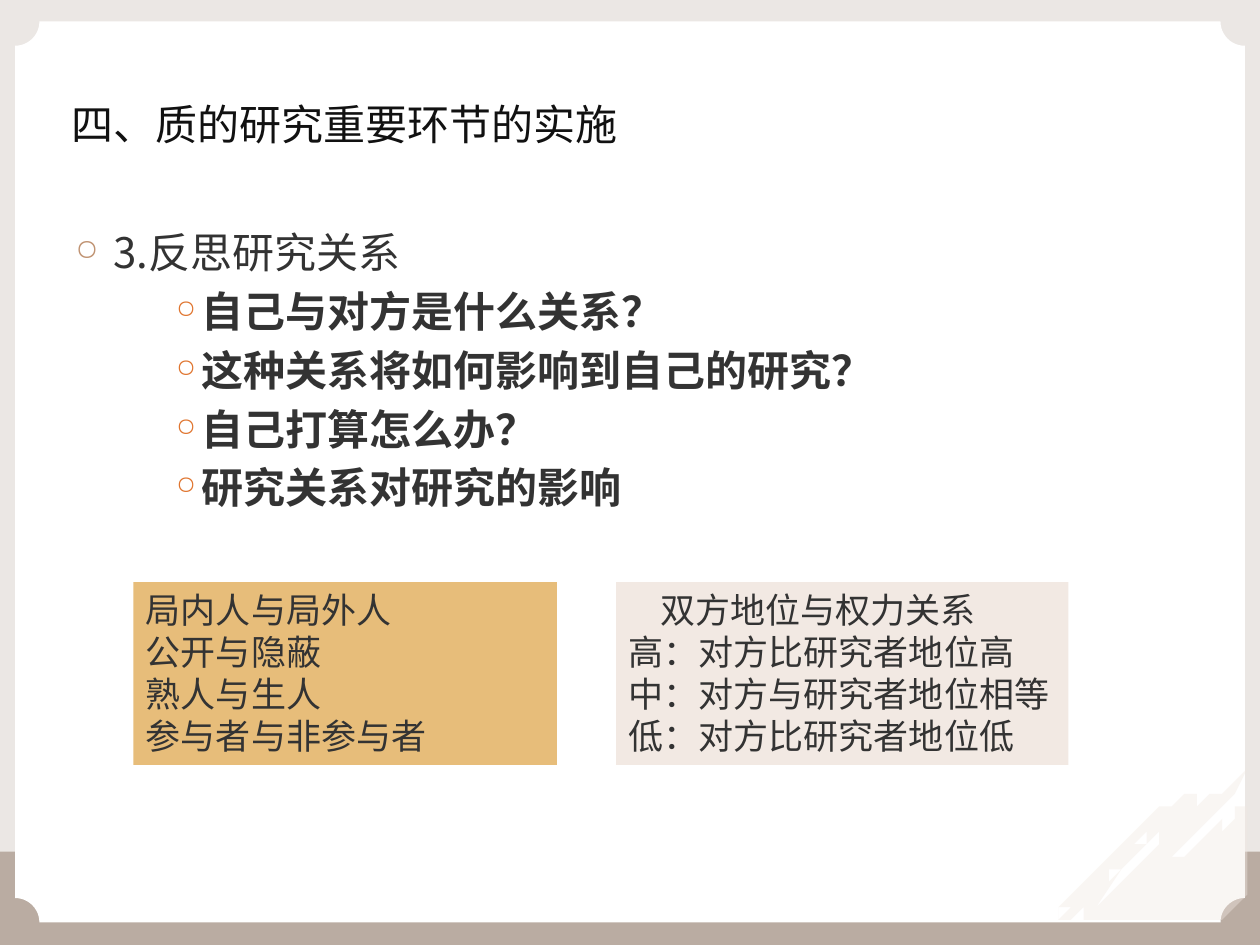
from lxml.etree import SubElement
from pptx import Presentation
from pptx.dml.color import RGBColor
from pptx.enum.shapes import MSO_SHAPE
from pptx.enum.text import MSO_ANCHOR, PP_ALIGN
from pptx.oxml.ns import qn
from pptx.util import Inches, Pt

COLUMNS, ROWS = 100, 75
BULLET = "○"
BOX_TOP, BOX_HEIGHT = 46.2, 14.5

BRUSH_BODY = [
    (98.9, 61.3), (97.8, 62.7), (95.6, 64.8), (92.8, 67.5), (92.7, 67.9),
    (93.4, 67.7), (93.8, 67.7), (94.3, 67.5), (95.8, 66.2), (96.7, 65.3),
    (96.3, 65.5), (96.8, 65.2), (97.2, 65.1), (96.9, 65.5), (97.5, 65.3),
    (98.2, 64.7), (98.3, 64.4), (98.9, 64.2), (98.9, 71.1), (98.0, 71.5),
    (97.5, 72.2), (97.3, 73.3), (86.4, 73.3), (87.2, 72.1), (89.2, 69.8),
    (91.6, 66.8), (91.9, 66.4), (91.3, 66.9), (89.4, 69.2), (87.4, 71.7),
    (86.2, 73.3), (85.5, 73.3), (86.4, 72.1), (88.2, 69.7), (88.6, 69.2),
    (88.4, 69.1), (87.8, 69.9), (86.5, 71.5), (85.1, 73.3), (84.0, 73.3),
    (84.8, 72.1), (84.9, 71.9), (84.5, 72.2), (83.8, 73.1), (84.1, 72.5),
    (85.1, 71.2), (87.3, 68.7), (88.3, 67.7), (89.3, 66.6), (91.1, 64.8),
    (92.0, 64.0), (92.5, 63.9), (92.0, 64.5), (93.3, 63.9), (94.5, 63.3),
    (95.0, 62.8), (95.4, 62.8), (95.3, 63.3), (94.9, 63.6), (95.0, 63.9),
    (95.4, 63.5), (95.7, 63.0), (96.2, 62.9), (96.2, 63.5), (95.7, 63.7),
    (95.5, 64.2), (96.0, 64.0), (96.5, 63.4), (97.0, 62.9), (97.6, 62.5),
    (98.1, 62.2),
]
BRUSH_GAP = [
    (92.3, 64.9), (91.3, 65.8), (90.6, 66.6), (90.0, 67.2), (89.4, 67.9),
    (88.8, 68.6), (88.8, 69.0), (89.4, 68.4), (90.4, 67.1), (91.3, 66.1),
]


def color(value):
    return RGBColor.from_string(value)


class SlideBuilder:
    font_name = "Noto Sans CJK SC"
    text_color = "333333"
    line_factor = 1.2

    def __init__(self, presentation):
        self.slide = presentation.slides.add_slide(presentation.slide_layouts[5])
        self.column = presentation.slide_width / COLUMNS
        self.row = presentation.slide_height / ROWS

    def area(self, left, top, width, height):
        return (round(left * self.column), round(top * self.row),
                round(width * self.column), round(height * self.row))

    def paint(self, shape, fill):
        shape.shadow.inherit = False
        shape.fill.solid()
        shape.fill.fore_color.rgb = color(fill)
        shape.line.fill.background()

    def panel(self, area, fill, kind=MSO_SHAPE.RECTANGLE):
        shape = self.slide.shapes.add_shape(kind, *self.area(*area))
        self.paint(shape, fill)
        return shape

    def brush(self, contours, fill, opacity):
        first, *others = contours
        builder = self.slide.shapes.build_freeform(*first[0], scale=(self.column, self.row))
        builder.add_line_segments(first[1:], close=True)
        for contour in others:
            builder.move_to(*contour[0])
            builder.add_line_segments(contour[1:], close=True)
        shape = builder.convert_to_shape()
        self.paint(shape, fill)
        solid_color = shape.element.spPr.find(qn("a:solidFill"))[0]
        SubElement(solid_color, qn("a:alpha"), val=str(opacity * 1000))

    def add_text(self, paragraph, text, size, bold=False, fill=None):
        paragraph.alignment = PP_ALIGN.LEFT
        paragraph.line_spacing = Pt(size * self.line_factor)
        run = paragraph.add_run()
        run.text = text
        run.font.size = Pt(size)
        run.font.bold = bold
        run.font.name = self.font_name
        run.font.color.rgb = color(fill or self.text_color)
        SubElement(run._r.get_or_add_rPr(), qn("a:ea"), typeface=self.font_name)

    def indent(self, paragraph, left, first=0):
        properties = paragraph._p.get_or_add_pPr()
        properties.set("marL", str(Inches(left)))
        properties.set("indent", str(Inches(first)))
        return properties

    def bullet(self, paragraph, left, hanging, fill, percent):
        properties = self.indent(paragraph, left, -hanging)
        bullet_color = SubElement(properties, qn("a:buClr"))
        SubElement(bullet_color, qn("a:srgbClr"), val=fill)
        SubElement(properties, qn("a:buSzPct"), val=str(percent * 1000))
        SubElement(properties, qn("a:buChar"), char=BULLET)

    def title(self, area, text):
        shape = self.slide.shapes.title
        shape.left, shape.top, shape.width, shape.height = self.area(*area)
        frame = shape.text_frame
        frame.vertical_anchor = MSO_ANCHOR.BOTTOM
        frame.margin_left = frame.margin_right = frame.margin_top = frame.margin_bottom = 0
        self.add_text(frame.paragraphs[0], text, 24, fill="111111")
        shape.element.getparent().append(shape.element)

    def outline(self, area, heading, points):
        frame = self.slide.shapes.add_textbox(*self.area(*area)).text_frame
        frame.word_wrap = True
        paragraph = frame.paragraphs[0]
        self.bullet(paragraph, 0.3, 0.3, "C09372", 70)
        self.add_text(paragraph, heading, 24)
        for point in points:
            paragraph = frame.add_paragraph()
            paragraph.level = 2
            self.bullet(paragraph, 1, 0.2, "E0752F", 60)
            paragraph.space_before = Pt(4.8)
            self.add_text(paragraph, point, 24, bold=True)

    def text_panel(self, left, width, fill, lines, first_indent=0):
        frame = self.panel((left, BOX_TOP, width, BOX_HEIGHT), fill).text_frame
        frame.word_wrap = True
        frame.vertical_anchor = MSO_ANCHOR.TOP
        for number, line in enumerate(lines):
            paragraph = frame.add_paragraph() if number else frame.paragraphs[0]
            self.indent(paragraph, 0 if number else first_indent)
            self.add_text(paragraph, line, 20)


def main():
    presentation = Presentation()
    presentation.slide_width, presentation.slide_height = Inches(10), Inches(7.5)
    builder = SlideBuilder(presentation)

    builder.panel((0, 0, COLUMNS, ROWS), "EBE7E4")
    builder.panel((0, 67.6, COLUMNS, 7.4), "BAACA2")
    card = builder.panel((1.2, 1.7, 97.6, 71.5), "FFFFFF", MSO_SHAPE.PLAQUE)
    card.adjustments[0] = 0.027
    builder.brush([BRUSH_BODY, BRUSH_GAP], "F2E9E3", 40)

    builder.outline((5, 17.5, 81.7, 53.3), "3.反思研究关系", [
        "自己与对方是什么关系？",
        "这种关系将如何影响到自己的研究？",
        "自己打算怎么办？",
        "研究关系对研究的影响",
    ])
    builder.text_panel(48.9, 35.9, "F2E9E3", [
        "双方地位与权力关系",
        "高：对方比研究者地位高",
        "中：对方与研究者地位相等",
        "低：对方比研究者地位低",
    ], first_indent=0.25)
    builder.text_panel(10.6, 33.6, "E7BD7A", [
        "局内人与局外人",
        "公开与隐蔽",
        "熟人与生人",
        "参与者与非参与者",
    ])
    builder.title((5.7, 3.9, 88.6, 7.9), "四、质的研究重要环节的实施")
    presentation.save("out.pptx")


if __name__ == "__main__":
    main()
